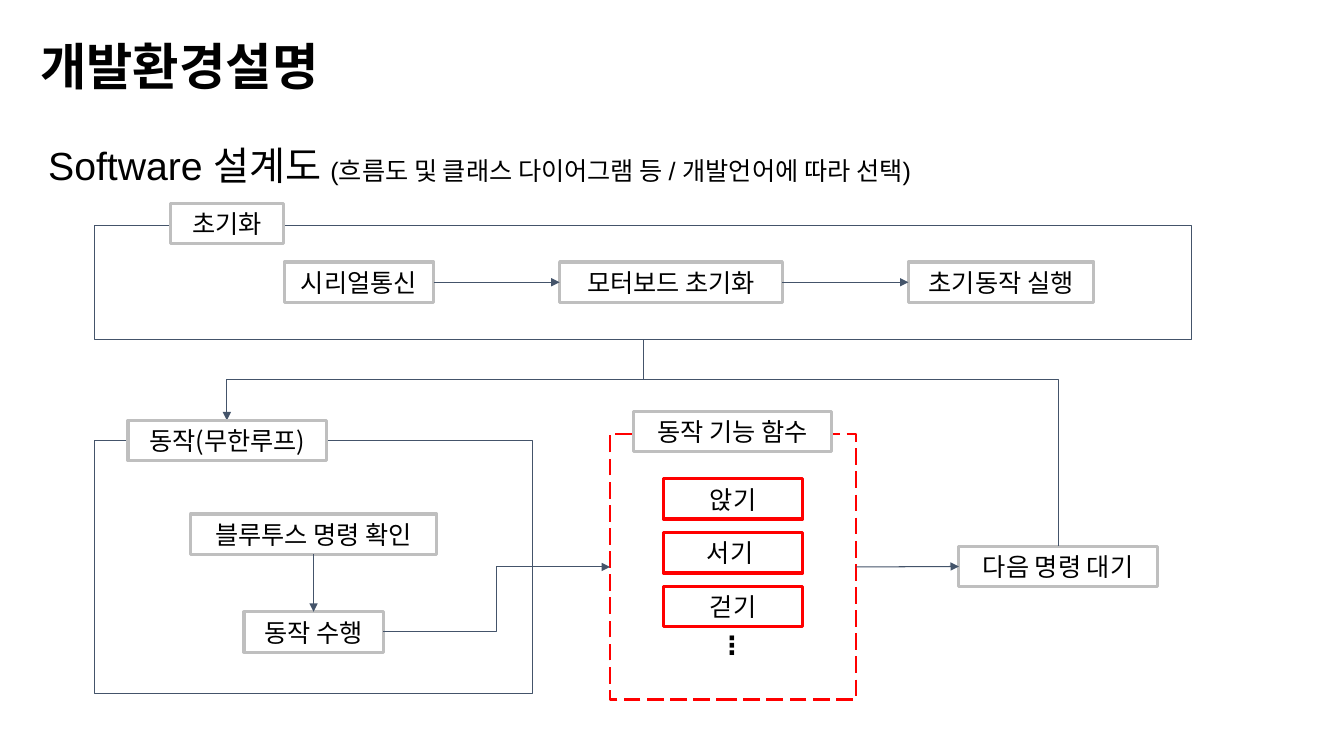
from lxml.etree import SubElement
from pptx import Presentation
from pptx.dml.color import RGBColor
from pptx.enum.dml import MSO_LINE_DASH_STYLE as DASH
from pptx.enum.shapes import MSO_CONNECTOR as CONN, MSO_SHAPE as SHAPE
from pptx.enum.text import MSO_ANCHOR as ANCHOR, PP_ALIGN as ALIGN
from pptx.oxml.ns import qn
from pptx.util import Inches, Pt

BLACK = RGBColor(0x00, 0x00, 0x00)
WHITE = RGBColor(0xFF, 0xFF, 0xFF)
GREY = RGBColor(0xBF, 0xBF, 0xBF)
RED = RGBColor(0xFF, 0x00, 0x00)
NAVY = RGBColor(0x44, 0x54, 0x6A)
KOREAN, LATIN = "Noto Sans CJK KR", "Arial"

TITLE = "개발환경설명"
SUBTITLE = [("Software 설계도 ", 28),
            ("(흐름도 및 클래스 다이어그램 등 / 개발언어에 따라 선택)", 18)]

# name: (left, top, width, height), line colour, line width, dash
PANELS = {
    "functions": ((6.05, 4.31, 2.44, 2.63), RED, 1.5, DASH.LONG_DASH),
    "loop": ((0.94, 4.37, 4.34, 2.51), NAVY, 0.75, None),
    "init": ((0.94, 2.24, 10.88, 1.13), NAVY, 0.75, None),
}

BOX_H = 0.4
INIT_ROW = 2.6
# name: text, left, top, width
STEPS = {
    "serial": ("시리얼통신", 2.82, INIT_ROW, 1.48),
    "motor": ("모터보드 초기화", 5.55, INIT_ROW, 2.21),
    "first": ("초기동작 실행", 9.01, INIT_ROW, 1.84),
    "bluetooth": ("블루투스 명령 확인", 1.89, 5.1, 2.44),
    "perform": ("동작 수행", 2.42, 6.07, 1.38),
    "wait": ("다음 명령 대기", 9.51, 5.42, 1.97),
}
HEADERS = {
    "init_head": ("초기화", 1.69, 2.02, 1.12),
    "loop_head": ("동작(무한루프)", 1.27, 4.17, 1.97),
    "functions_head": ("동작 기능 함수", 6.28, 4.08, 1.97),
}
ACTIONS = ["앉기", "서기 ", "걷기"]
ACTION_LEFT, ACTION_TOP, ACTION_W, ACTION_PITCH = 6.58, 4.75, 1.38, 0.535

# start, side, end, side
STRAIGHT = [
    ("serial", "right", "motor", "left"),
    ("motor", "right", "first", "left"),
    ("bluetooth", "bottom", "perform", "top"),
    ("functions", "right", "wait", "left"),
]

prs = Presentation()
prs.slide_width, prs.slide_height = Inches(13.33), Inches(7.5)
shapes = prs.slides.add_slide(prs.slide_layouts[6]).shapes
places = {}


def write(sp, runs, font=KOREAN, bold=False, align=ALIGN.CENTER,
          anchor=ANCHOR.MIDDLE, inset=0.05, **spacing):
    """Fill the shape with one paragraph of (text, size) runs."""
    tf = sp.text_frame
    frame = dict(word_wrap=True, vertical_anchor=anchor,
                 margin_left=Inches(0.1), margin_right=Inches(0.1),
                 margin_top=Inches(inset), margin_bottom=Inches(inset))
    for key, value in frame.items():
        setattr(tf, key, value)
    p = tf.paragraphs[0]
    for key, value in dict(alignment=align, **spacing).items():
        setattr(p, key, value)
    for text, size in runs:
        r = p.add_run()
        r.text = text
        for key, value in dict(name=font, size=Pt(size), bold=bold).items():
            setattr(r.font, key, value)
        r.font.color.rgb = BLACK
        SubElement(r.font._element, qn("a:ea")).set("typeface", KOREAN)


def text_box(place, runs, **style):
    write(shapes.add_textbox(*map(Inches, place)), runs, **style)


def rectangle(name, place, color, width, dash=None, fill=None):
    places[name] = place
    sp = shapes.add_shape(SHAPE.RECTANGLE, *map(Inches, place))
    sp.shadow.inherit = False
    if fill is None:
        sp.fill.background()
    else:
        sp.fill.solid()
        sp.fill.fore_color.rgb = fill
    sp.line.color.rgb, sp.line.width = color, Pt(width)
    if dash:
        sp.line.dash_style = dash
    return sp


def label(name, text, left, top, width, color=GREY, fill=None):
    sp = rectangle(name, (left, top, width, BOX_H), color, 2.25, fill=fill)
    write(sp, [(text, 18)])


def side(name, edge):
    """Middle of one edge of a placed rectangle."""
    x, y, w, h = places[name]
    dx, dy = {"left": (0, 0.5), "right": (1, 0.5),
              "top": (0.5, 0), "bottom": (0.5, 1)}[edge]
    return x + dx * w, y + dy * h


def connect(start, end, kind=CONN.STRAIGHT, upright=False, arrow=True):
    """Join two points; an upright elbow leaves its start vertically."""
    (x1, y1), (x2, y2) = start, end
    if upright:
        cx, cy, dx, dy = (x1 + x2) / 2, (y1 + y2) / 2, x2 - x1, y2 - y1
        x1, x2 = cx - dy / 2, cx + dy / 2
        y1, y2 = cy + dx / 2, cy - dx / 2
    c = shapes.add_connector(kind, *map(Inches, (x1, y1, x2, y2)))
    c.line.color.rgb, c.line.width = NAVY, Pt(0.75)
    props = c._element.spPr
    if upright:
        props.find(qn("a:xfrm")).set("rot", str(90 * 60000))
    if arrow:
        SubElement(c.line._get_or_add_ln(), qn("a:tailEnd")).set("type", "triangle")
    SubElement(props, qn("a:effectLst"))
    return c


for name, panel in PANELS.items():
    rectangle(name, *panel)

text_box((0.3, 0.29, 3.56, 0.71), [(TITLE, 36)], bold=True, align=ALIGN.LEFT)
text_box((0.38, 1.07, 12.35, 0.77), SUBTITLE, font=LATIN, align=ALIGN.JUSTIFY,
         anchor=ANCHOR.TOP, line_spacing=1.6)

for name, step in STEPS.items():
    label(name, *step)
for i, action in enumerate(ACTIONS):
    label(action, action, ACTION_LEFT, ACTION_TOP + i * ACTION_PITCH, ACTION_W, RED)
text_box((6.49, 6.3, 1.54, 0.5), [("⋮", 18)], font=LATIN, bold=True,
         anchor=ANCHOR.TOP, inset=0.1, line_spacing=0.5, space_after=Pt(12))

for start, start_edge, end, end_edge in STRAIGHT:
    connect(side(start, start_edge), side(end, end_edge))
connect(side("perform", "right"), side("functions", "left"), CONN.ELBOW)

fork = side("init", "bottom")
connect(fork, side("loop_head", "top") if "loop_head" in places else (2.25, 4.17),
        CONN.ELBOW, upright=True)
back = connect(side("wait", "top"), (fork[0], 3.76), CONN.ELBOW,
               upright=True, arrow=False)
back._element.spPr.find(qn("a:prstGeom")).set("prst", "bentConnector2")

for name, header in HEADERS.items():
    label(name, *header, fill=WHITE)

prs.save("out.pptx")
